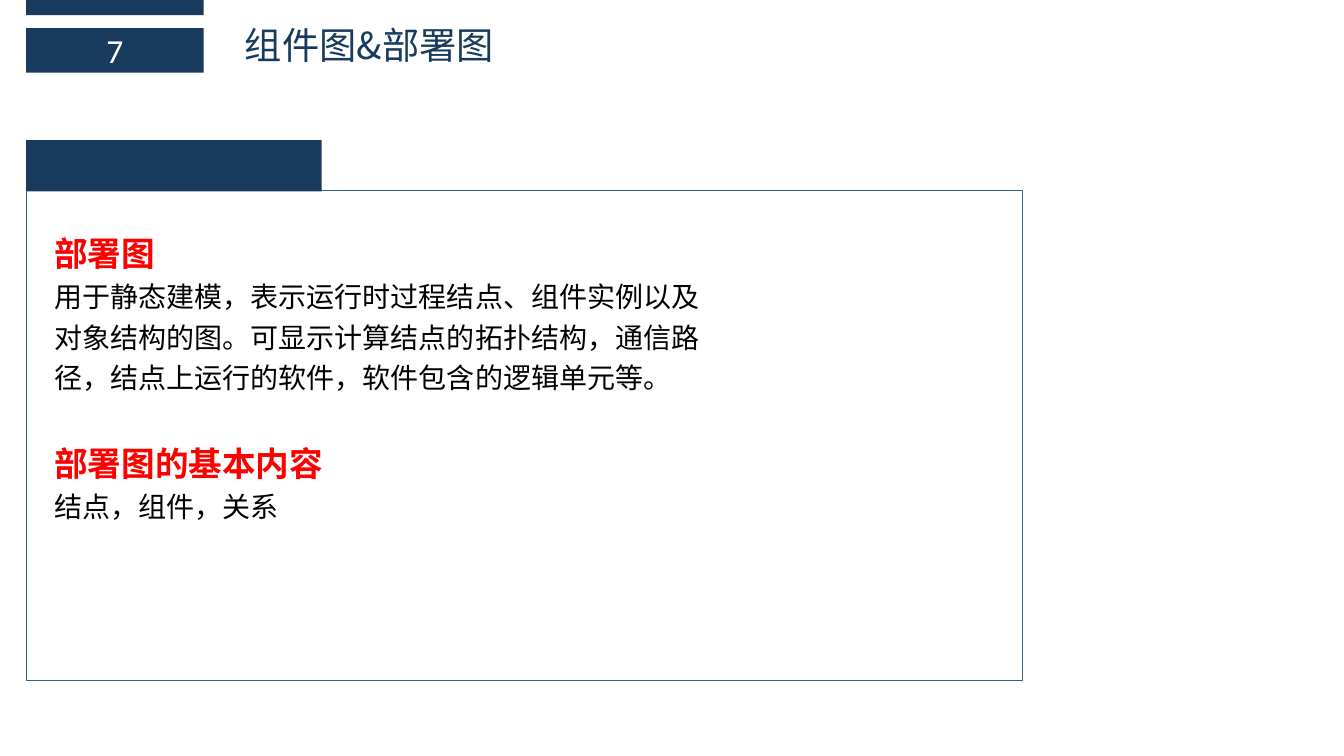
from lxml.etree import SubElement
from pptx import Presentation
from pptx.dml.color import RGBColor
from pptx.enum.shapes import MSO_SHAPE as Preset
from pptx.enum.text import MSO_ANCHOR as Anchor, MSO_AUTO_SIZE as AutoSize, PP_ALIGN as Align
from pptx.oxml.ns import qn
from pptx.util import Inches, Pt

SLIDE_W, SLIDE_H = 13.33, 7.5
LEFT = 0.26
TAG_W = 1.76
NAVY, EDGE, RED, BLACK, WHITE = "183A5D", "346182", "FF0000", "000000", "FFFFFF"
LATIN, CHINESE = "Calibri", "Noto Sans CJK SC"

SECTIONS = [
    ("部署图",
     "用于静态建模，表示运行时过程结点、组件实例以及对象结构的图。"
     "可显示计算结点的拓扑结构，通信路径，结点上运行的软件，软件包含的逻辑单元等。"),
    ("部署图的基本内容", "结点，组件，关系"),
]


def color(hex_code):
    return RGBColor.from_string(hex_code)


def box(left, top, width, height):
    return [Inches(length) for length in (left, top, width, height)]


def block(shapes, place, fill=None, line=None):
    """Rectangle with an optional fill and outline."""
    rect = shapes.add_shape(Preset.RECTANGLE, *box(*place))
    rect.shadow.inherit = False
    if fill:
        rect.fill.solid()
        rect.fill.fore_color.rgb = color(fill)
    else:
        rect.fill.background()
    if line:
        rect.line.color.rgb = color(line)
        rect.line.width = Pt(1)
    else:
        rect.line.fill.background()
    return rect


def write(paragraph, text, size=20, ink=BLACK, bold=False, font=LATIN,
          align=Align.LEFT, spacing=1.0, before=0):
    paragraph.alignment = align
    paragraph.line_spacing = spacing
    paragraph.space_before = Pt(before)
    run = paragraph.add_run()
    run.text = text
    run.font.size = Pt(size)
    run.font.bold = bold
    run.font.color.rgb = color(ink)
    run.font.name = font
    SubElement(run.font._element, qn("a:ea"), typeface=CHINESE)


def add_header(slide):
    block(slide.shapes, (LEFT, 0, TAG_W, 0.15), fill=NAVY)
    number = block(slide.shapes, (LEFT, 0.28, TAG_W, 0.44), fill=NAVY).text_frame
    number.vertical_anchor = Anchor.MIDDLE
    write(number.paragraphs[0], "7", size=24, ink=WHITE, align=Align.CENTER)

    title = slide.shapes.title
    title.left, title.top, title.width, title.height = box(2.33, 0.17, 6.62, 0.55)
    heading = title.text_frame
    heading.auto_size = AutoSize.NONE
    heading.vertical_anchor = Anchor.TOP
    write(heading.paragraphs[0], "组件图&部署图", size=26.6, ink=NAVY, font=CHINESE)


def add_panel(slide):
    panel = slide.shapes.add_group_shape()
    block(panel.shapes, (LEFT, 1.89, 9.88, 4.86), line=EDGE)
    block(panel.shapes, (LEFT, 1.39, 2.93, 0.51), fill=NAVY)


def add_sections(slide):
    body = slide.shapes.add_textbox(*box(0.44, 2.18, 6.66, 3.09)).text_frame
    body.word_wrap = True
    for index, (term, meaning) in enumerate(SECTIONS):
        first = body.add_paragraph() if index else body.paragraphs[0]
        write(first, term, size=24, ink=RED, bold=True, spacing=1.2,
              before=29 if index else 0)
        write(body.add_paragraph(), meaning, spacing=1.2)


def main():
    deck = Presentation()
    deck.slide_width, deck.slide_height = Inches(SLIDE_W), Inches(SLIDE_H)
    slide = deck.slides.add_slide(deck.slide_layouts[5])  # title only
    add_header(slide)
    add_panel(slide)
    add_sections(slide)
    deck.save("out.pptx")


if __name__ == "__main__":
    main()
